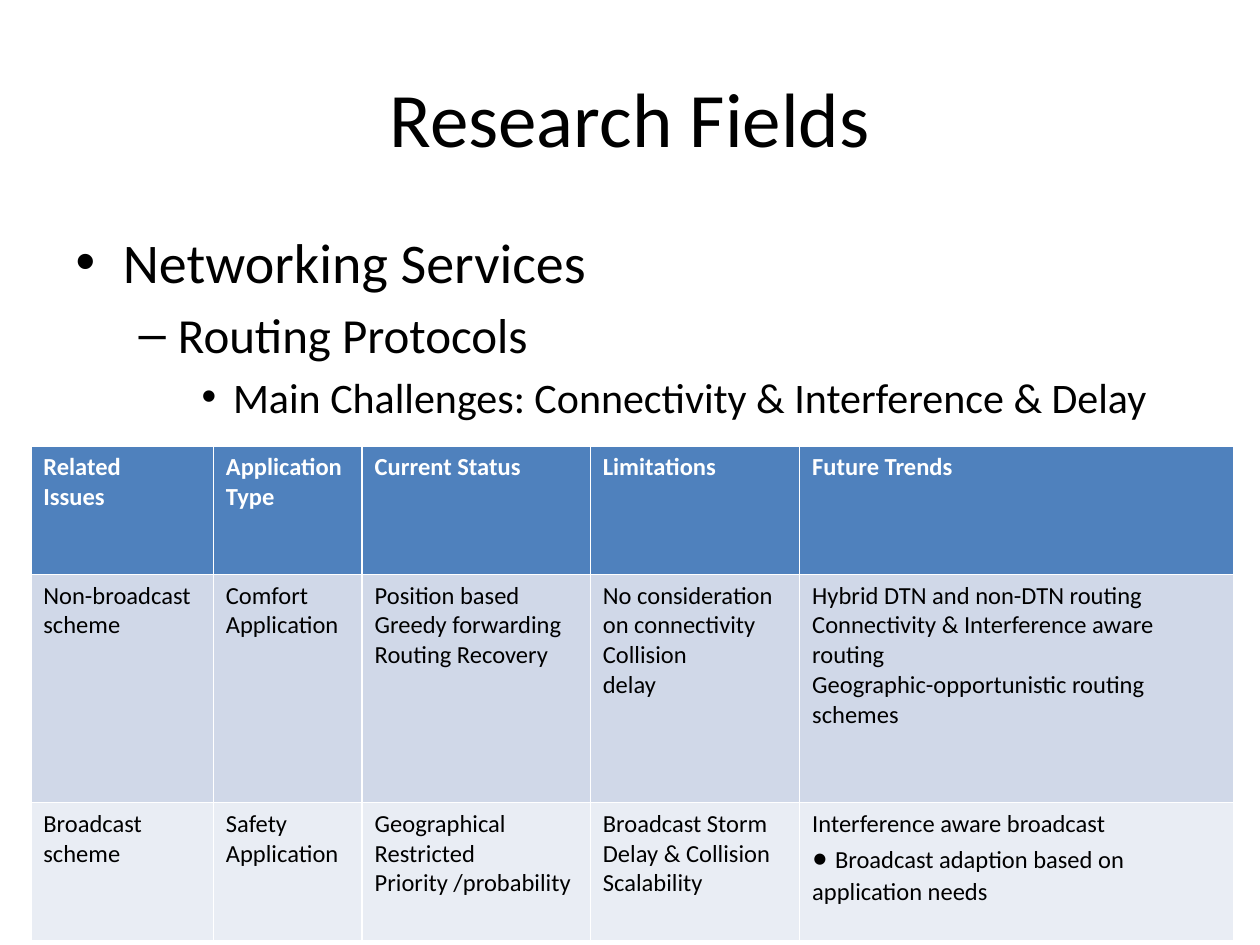
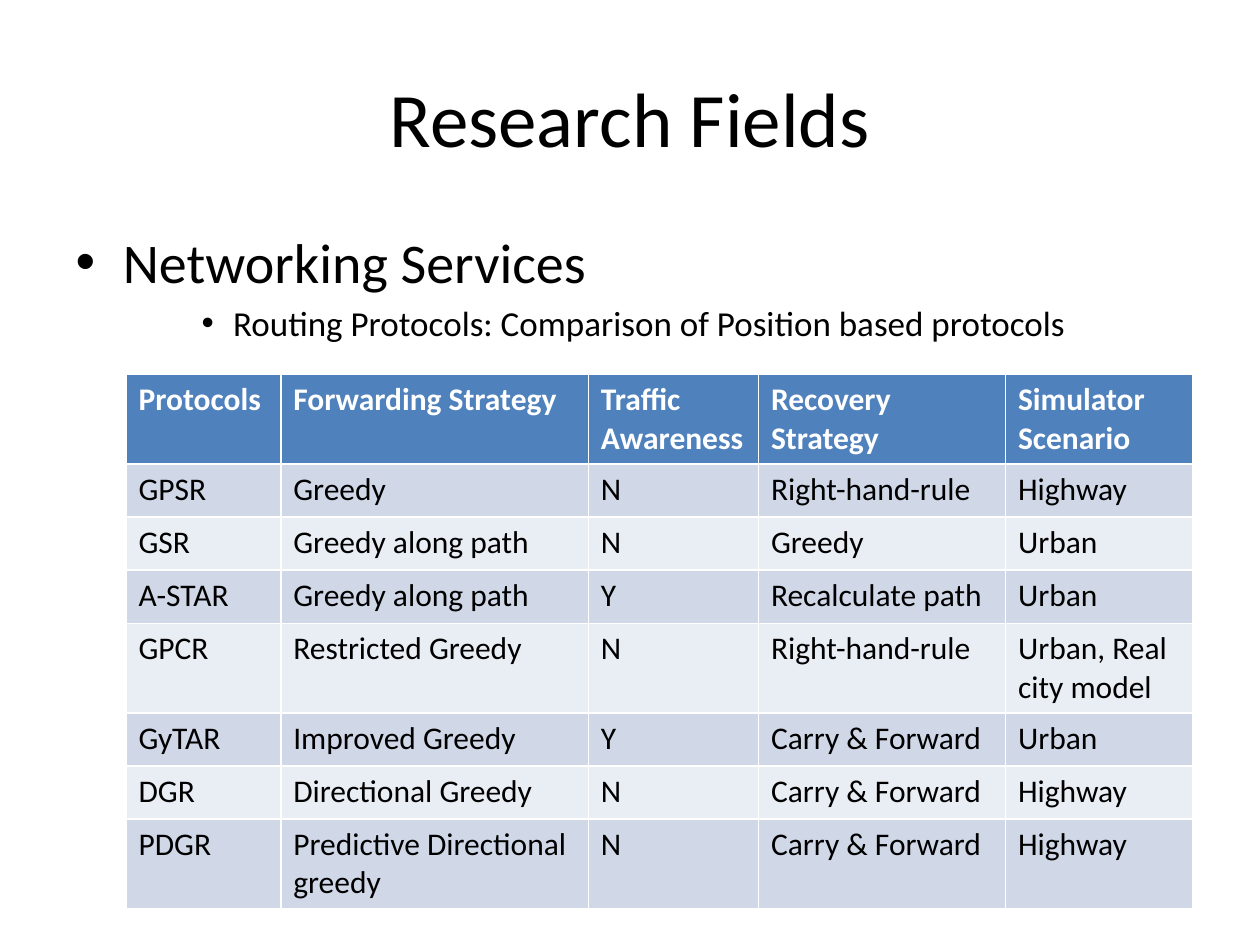
from pptx import Presentation, util as u
from pptx.dml import color
from pptx.enum import text

FONT = "Calibri"
BLACK, WHITE, HEADER = "000000", "FFFFFF", "4F81BD"
BANDS = ("D0D8E8", "E9EDF4")
LEVEL_SIZES = (32, 28, 24)


def rgb(value):
    return color.RGBColor.from_string(value)


def add_span(para, words, size=14, ink=BLACK, bold=False):
    span = para.add_run()
    span.text = words
    span.font.name = FONT
    span.font.size = u.Pt(size)
    span.font.bold = bold
    span.font.color.rgb = rgb(ink)


def place(shape, left, top, width, height):
    shape.left, shape.top = u.Cm(left), u.Cm(top)
    shape.width, shape.height = u.Cm(width), u.Cm(height)


def next_para(frame, index):
    return frame.add_paragraph() if index else frame.paragraphs[0]


class SlideBuilder:
    def __init__(self, deck):
        self.deck = deck
        self.page = None

    def start(self, title):
        self.page = self.deck.slides.add_slide(self.deck.slide_layouts[1])
        box = self.page.shapes.title
        place(box, 1.27, 0.76, 22.86, 3.18)
        frame = box.text_frame
        frame.vertical_anchor = text.MSO_ANCHOR.MIDDLE
        para = frame.paragraphs[0]
        para.alignment = text.PP_ALIGN.CENTER
        add_span(para, title, size=44)

    def bullets(self, items):
        box = self.page.placeholders[1]
        place(box, 1.27, 4.45, 22.86, 12.57)
        for index, (level, words, *size) in enumerate(items):
            para = next_para(box.text_frame, index)
            para.level = level
            add_span(para, words, size=size[0] if size else LEVEL_SIZES[level])

    def table(self, left, top, widths, heights, rows, size):
        frame = self.page.shapes.add_table(
            len(rows), len(widths), u.Cm(left), u.Cm(top),
            u.Cm(sum(widths)), u.Cm(sum(heights)))
        grid = frame.table
        for column, width in zip(grid.columns, widths):
            column.width = u.Cm(width)
        for index, (row, height, values) in enumerate(zip(grid.rows, heights, rows)):
            row.height = u.Cm(height)
            heading = index == 0
            fill = HEADER if heading else BANDS[(index - 1) % 2]
            for cell, value in zip(row.cells, values):
                self.fill_cell(cell, value, fill, size, heading)

    def fill_cell(self, cell, value, fill, size, heading):
        cell.fill.solid()
        cell.fill.fore_color.rgb = rgb(fill)
        for index, line in enumerate(value.split("\n")):
            para = next_para(cell.text_frame, index)
            if line.startswith("• "):
                add_span(para, "• ", size=18)
                line = line[2:]
            add_span(para, line, size=size, bold=heading,
                     ink=WHITE if heading else BLACK)


ISSUES = [
    ("Related\nIssues", "Application\nType", "Current Status", "Limitations",
     "Future Trends"),
    ("Non-broadcast scheme", "Comfort Application",
     "Position based\nGreedy forwarding\nRouting Recovery",
     "No consideration on connectivity\nCollision\ndelay",
     "Hybrid DTN and non-DTN routing\n"
     "Connectivity & Interference aware routing\n"
     "Geographic-opportunistic routing schemes"),
    ("Broadcast scheme", "Safety Application",
     "Geographical Restricted\nPriority /probability",
     "Broadcast Storm\nDelay & Collision\nScalability",
     "Interference aware broadcast\n"
     "• Broadcast adaption based on application needs"),
]

PROTOCOLS = [
    ("Protocols", "Forwarding Strategy", "Traffic Awareness", "Recovery Strategy",
     "Simulator Scenario"),
    ("GPSR", "Greedy", "N", "Right-hand-rule", "Highway"),
    ("GSR", "Greedy along path", "N", "Greedy", "Urban"),
    ("A-STAR", "Greedy along path", "Y", "Recalculate path", "Urban"),
    ("GPCR", "Restricted Greedy", "N", "Right-hand-rule", "Urban, Real city model"),
    ("GyTAR", "Improved Greedy", "Y", "Carry & Forward", "Urban"),
    ("DGR", "Directional Greedy", "N", "Carry & Forward", "Highway"),
    ("PDGR", "Predictive Directional greedy", "N", "Carry & Forward", "Highway"),
]


def main():
    deck = Presentation()
    deck.slide_width, deck.slide_height = u.Cm(25.4), u.Cm(19.05)
    builder = SlideBuilder(deck)

    builder.start("Research Fields")
    builder.bullets([
        (0, "Networking Services"),
        (1, "Routing Protocols"),
        (2, "Main Challenges: Connectivity & Interference & Delay"),
    ])
    builder.table(0.62, 8.99, (3.68, 3, 4.6, 4.22, 8.76), (2.59, 4.6, 2.79),
                  ISSUES, size=14)

    builder.start("Research Fields")
    builder.bullets([
        (0, "Networking Services"),
        (2, "Routing Protocols: Comparison of Position based protocols", 20),
    ])
    builder.table(2.54, 7.55, (3.12, 6.2, 3.43, 4.98, 3.78),
                  [1.7] + [1.07] * (len(PROTOCOLS) - 1), PROTOCOLS, size=18)

    deck.save("out.pptx")


if __name__ == "__main__":
    main()
